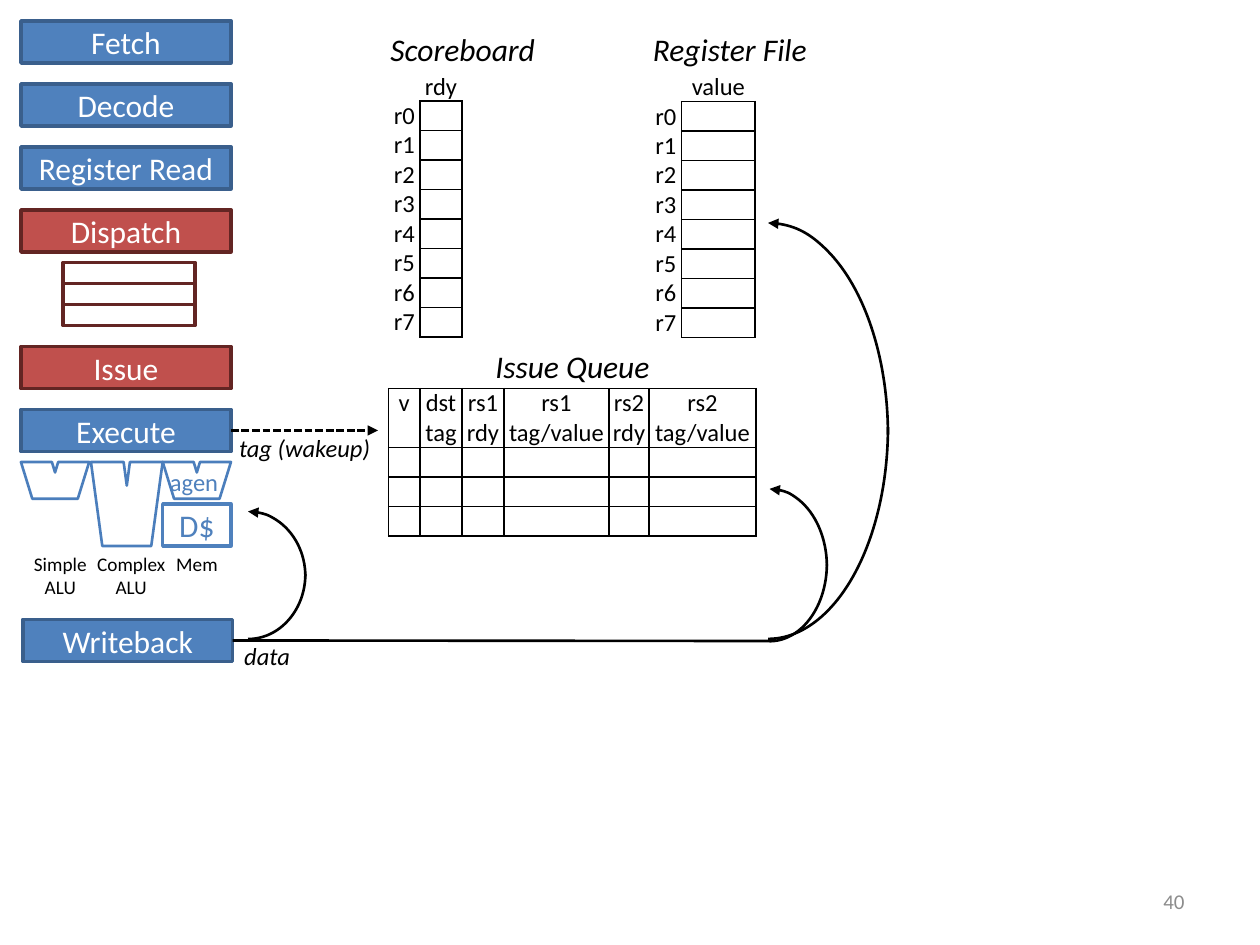
from lxml.etree import SubElement
from pptx import Presentation
from pptx.dml.color import RGBColor
from pptx.enum.dml import MSO_LINE
from pptx.enum.shapes import MSO_CONNECTOR, MSO_SHAPE
from pptx.enum.text import MSO_ANCHOR, PP_ALIGN
from pptx.oxml.ns import qn
from pptx.util import Pt

BLUE = RGBColor(0x4F, 0x81, 0xBD)
NAVY = RGBColor(0x3A, 0x5F, 0x8C)
STEEL = RGBColor(0x4B, 0x7E, 0xBC)
RED = RGBColor(0xC0, 0x50, 0x4D)
MAROON = RGBColor(0x63, 0x25, 0x23)
BLACK = RGBColor(0, 0, 0)
WHITE = RGBColor(255, 255, 255)
GRAY = RGBColor(0x8C, 0x8C, 0x8C)
LEFT, MID, RIGHT = PP_ALIGN.LEFT, PP_ALIGN.CENTER, PP_ALIGN.RIGHT
ROW = 16.8
NO_STYLE = "{2D5ABB26-0587-4C30-8999-92F81FD0307C}"


def write(frame, text, size, color, align=MID, italic=None):
    frame.text = text
    look = {"name": "Calibri", "size": Pt(size), "italic": italic}
    for par in frame.paragraphs:
        par.alignment = align
        for run in par.runs:
            for key, val in look.items():
                setattr(run.font, key, val)
            run.font.color.rgb = color


def style(shape, fill, line, width):
    shape.shadow.inherit = False
    if fill is None:
        shape.fill.background()
    else:
        shape.fill.solid()
        shape.fill.fore_color.rgb = fill
    shape.line.color.rgb = line
    shape.line.width = Pt(width)


deck = Presentation()
deck.slide_width, deck.slide_height = Pt(720), Pt(540)
slide = deck.slides.add_slide(deck.slide_layouts[6])
shapes = slide.shapes

# Pipeline stages, the dispatch queue and the data cache
boxes = [
    ("Fetch", 12, 12, 120, 24, BLUE, NAVY, WHITE),
    ("Decode", 12, 48, 120, 24, BLUE, NAVY, WHITE),
    ("Register Read", 12, 84, 120, 24, BLUE, NAVY, WHITE),
    ("Dispatch", 12, 120, 120, 24, RED, MAROON, WHITE),
    ("Issue", 12, 198, 120, 24, RED, MAROON, WHITE),
    ("Execute", 12, 234, 120, 24, BLUE, NAVY, WHITE),
    ("Writeback", 13, 354, 120, 24, BLUE, NAVY, WHITE),
    ("D$", 93, 288, 39, 24, None, BLUE, BLUE),
]
boxes += [("", 36, 150 + 12 * i, 75.6, 12, None, MAROON, WHITE) for i in range(3)]
stage = {}
for name, x, y, w, h, fill, line, ink in boxes:
    box = shapes.add_shape(MSO_SHAPE.RECTANGLE, Pt(x), Pt(y), Pt(w), Pt(h))
    style(box, fill, line, 2)
    if name:
        box.text_frame.vertical_anchor = MSO_ANCHOR.MIDDLE
        box.text_frame.word_wrap = True
        write(box.text_frame, name, 18, ink)
        stage[name] = box

# Execution units: notched funnels
for x, w, h, notch in [(12, 39, 21, 6), (52, 41, 48, 13.5), (93, 39, 21, 6)]:
    top, mid = 264, x + w / 2
    dots = [(mid - 1.8, top), (mid, top + notch), (mid + 1.8, top), (x + w, top),
            (x + w - 6.5, top + h), (x + 6.5, top + h)]
    path = shapes.build_freeform(Pt(x), Pt(top))
    path.add_line_segments([(Pt(a), Pt(b)) for a, b in dots], close=True)
    style(path.convert_to_shape(), None, STEEL, 1.5)

# Labels: text, left, top, width, height, size, colour, align, italic, wrap
labels = [
    ("agen", 90, 263.5, 42.5, 24.5, 14, BLUE, LEFT, None, False),
    ("Simple\nALU", 12, 312, 45, 34, 11, BLACK, MID, None, False),
    ("Complex\nALU", 48, 312, 54, 34, 11, BLACK, MID, None, False),
    ("Mem", 93.6, 312, 38, 21, 11, BLACK, LEFT, None, False),
    ("Scoreboard", 216, 13.7, 98, 29, 18, BLACK, LEFT, True, False),
    ("Issue Queue", 276, 195, 103.5, 29, 18, BLACK, LEFT, True, False),
    ("Register File", 366, 13.7, 119, 29, 18, BLACK, LEFT, True, True),
    ("tag (wakeup)", 129.5, 244, 90, 24.5, 14, BLACK, LEFT, True, False),
    ("data", 132.5, 363, 41, 24.5, 14, BLACK, LEFT, True, False),
    ("40", 516, 500.5, 168, 29, 12, GRAY, RIGHT, None, True),
]
for text, x, y, w, h, size, ink, align, slant, wrap in labels:
    frame = shapes.add_textbox(Pt(x), Pt(y), Pt(w), Pt(h)).text_frame
    frame.word_wrap = wrap
    if align == RIGHT:
        frame.vertical_anchor = MSO_ANCHOR.MIDDLE
    write(frame, text, size, ink, align, slant)

# Tables: left, top, column widths, row heights, texts, whether all is ruled
names = [[f"r{i}", ""] for i in range(8)]
heads = ["v", "dst tag", "rs1 rdy", "rs1 tag/value", "rs2 rdy", "rs2 tag/value"]
tables = [
    (222, 41, [18, 24], [ROW] * 9, [["", "rdy"]] + names, False),
    (371.5, 41.3, [18, 42], [ROW] * 9, [["", "value"]] + names, False),
    (222, 222, [18, 24, 24, 60, 23, 61], [2 * ROW] + [ROW] * 3,
     [heads] + [[""] * 6] * 3, True),
]
for x, y, cols, rows, texts, ruled in tables:
    grid = shapes.add_table(len(rows), len(cols), Pt(x), Pt(y),
                            Pt(sum(cols)), Pt(sum(rows))).table
    grid.first_row = grid.horz_banding = False
    grid._tbl.tblPr.find(qn("a:tableStyleId")).text = NO_STYLE
    for c, w in enumerate(cols):
        grid.columns[c].width = Pt(w)
    for r, h in enumerate(rows):
        grid.rows[r].height = Pt(h)
        for c, text in enumerate(texts[r]):
            cell = grid.cell(r, c)
            for side in ("left", "right", "top", "bottom"):
                setattr(cell, f"margin_{side}", 0)
            write(cell.text_frame, text, 14, BLACK)
            SubElement(cell.text_frame.paragraphs[0]._p, qn("a:endParaRPr"), sz="1400")
            if ruled or (r and c):
                sides = "LRTB"
            else:
                sides = "R" if r else "B" * c
            for side in sides:
                rule = SubElement(cell._tc.get_or_add_tcPr(), qn(f"a:ln{side}"), w="12700")
                paint = SubElement(rule, qn("a:solidFill"))
                SubElement(paint, qn("a:srgbClr"), val=str(BLACK))
            cell.fill.background()

# Wakeup arrow and data bus
for name, x, y, dash in [("Execute", 216, 246, True), ("Writeback", 440, 366.3, False)]:
    wire = shapes.add_connector(MSO_CONNECTOR.STRAIGHT, Pt(132), Pt(y), Pt(x), Pt(y))
    wire.begin_connect(stage[name], 3)
    wire.line.color.rgb = BLACK
    wire.line.width = Pt(1.5)
    if dash:
        wire.line.dash_style = MSO_LINE.SQUARE_DOT
        SubElement(wire.line._get_or_add_ln(), qn("a:tailEnd"), type="triangle")
    SubElement(wire._element.spPr, qn("a:effectLst"))

# Return paths: an upper arc with an arrowhead and a flipped lower arc
for x, y, low, w, h in [(370.4, 127.4, 123.1, 137, 242),
                        (407, 279.4, 278, 65.5, 88.5),
                        (109, 292.3, 291, 65.5, 74.2)]:
    for top, flip in [(y, False), (low, True)]:
        arc = shapes.add_shape(MSO_SHAPE.ARC, Pt(x), Pt(top), Pt(w), Pt(h))
        style(arc, None, BLACK, 1.5)
        if flip:
            arc._element.spPr.xfrm.set("flipV", "1")
        else:
            SubElement(arc.line._get_or_add_ln(), qn("a:headEnd"), type="triangle")

deck.save("out.pptx")
